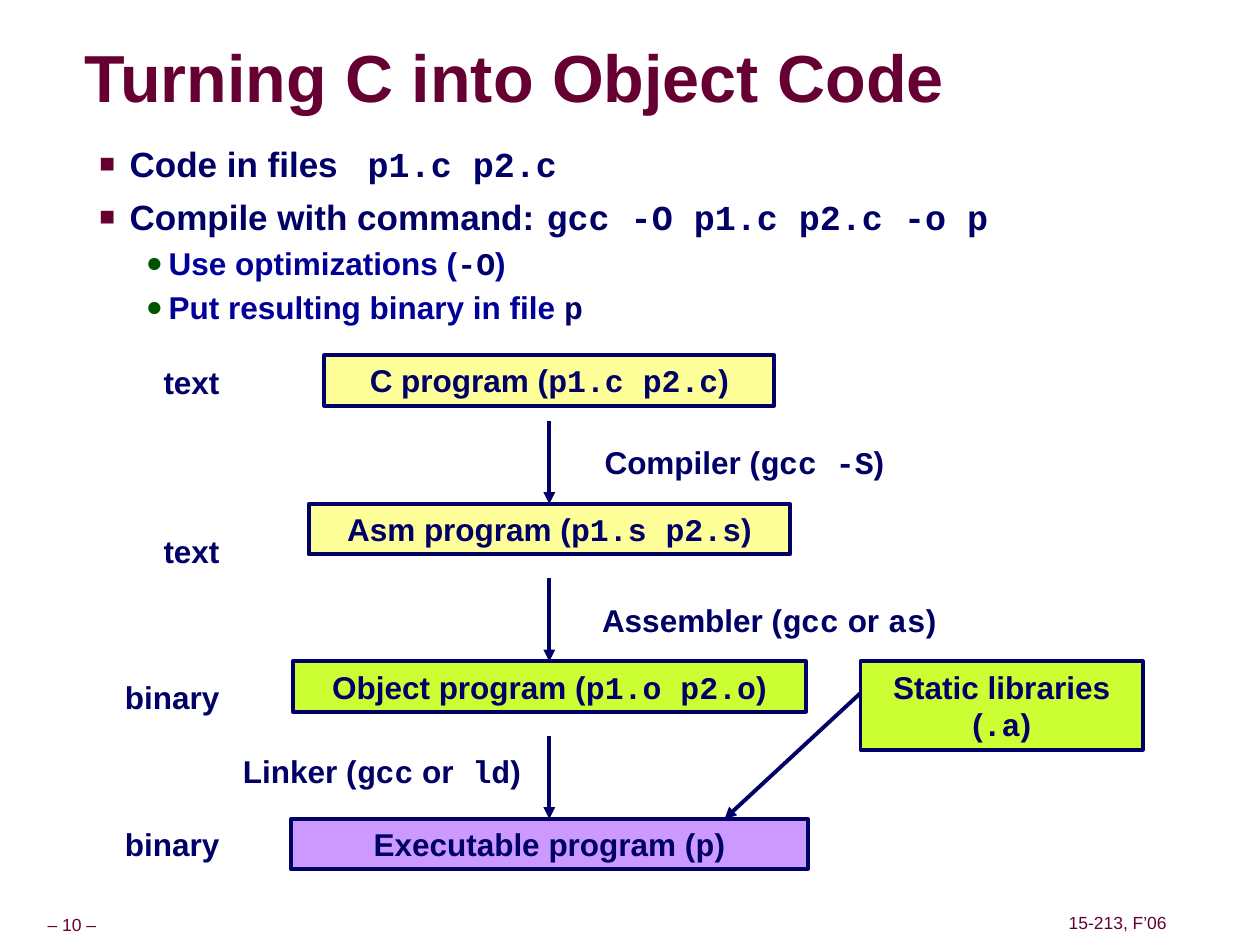
from dataclasses import dataclass
from lxml.etree import SubElement
from pptx import Presentation
from pptx.dml.color import RGBColor
from pptx.enum.shapes import MSO_CONNECTOR, MSO_SHAPE
from pptx.enum.text import MSO_ANCHOR, MSO_AUTO_SIZE, PP_ALIGN
from pptx.oxml import parse_xml
from pptx.oxml.ns import nsdecls, qn
from pptx.util import Inches, Pt


@dataclass(frozen=True)
class Theme:
    sans: str = "Arial"
    mono: str = "Courier New"
    ink: str = "000066"
    sub: str = "000099"
    wine: str = "660033"
    green: str = "005400"
    shade: str = "969696"
    source: str = "FFFF99"
    binary: str = "CCFF33"
    final: str = "CC99FF"
    head: int = 38
    lead: int = 20
    text: int = 18
    foot: int = 10
    line: float = 2.25


@dataclass(frozen=True)
class Box:
    left: float
    top: float
    width: float
    height: float

    def inner(self, left, top, width, height):
        return Box(self.left + left, self.top + top, width, height)

    def spot(self, left, top):
        return Inches(self.left + left), Inches(self.top + top)

    def area(self):
        return [Inches(n) for n in (self.left, self.top, self.width, self.height)]


THEME = Theme()


def color(code):
    return RGBColor.from_string(code)


def write(para, text, size, tint=THEME.ink, code=None, bold=True):
    font = para.font
    font.name, font.size, font.bold = THEME.sans, Pt(size), bold
    font.color.rgb = color(tint)
    for spot, piece in enumerate(text.split("`")):
        if not piece:
            continue
        run = para.add_run()
        run.text = piece
        if spot % 2:
            run.font.name = THEME.mono
            if code:
                run.font.color.rgb = color(code)


def label(slide, box, text, align=PP_ALIGN.LEFT):
    shape = slide.shapes.add_textbox(*box.area())
    shape.text_frame.word_wrap = True
    para = shape.text_frame.paragraphs[0]
    para.alignment = align
    write(para, text, THEME.text)


def block(slide, box, text, fill):
    shape = slide.shapes.add_shape(MSO_SHAPE.RECTANGLE, *box.area())
    shape.shadow.inherit = False
    shape.fill.solid()
    shape.fill.fore_color.rgb = color(fill)
    shape.line.color.rgb = color(THEME.ink)
    shape.line.width = Pt(THEME.line)
    frame = shape.text_frame
    frame.word_wrap = True
    frame.vertical_anchor = MSO_ANCHOR.TOP
    para = frame.paragraphs[0]
    para.alignment = PP_ALIGN.CENTER
    write(para, text, THEME.text)
    return shape


def arrow(slide, start, end):
    link = slide.shapes.add_connector(MSO_CONNECTOR.STRAIGHT, *start, *end)
    link.line.color.rgb = color(THEME.ink)
    link.line.width = Pt(THEME.line)
    props = link._element.spPr
    SubElement(props.find(qn("a:ln")), qn("a:tailEnd"), type="triangle")
    SubElement(props, qn("a:effectLst"))
    return link


def title(slide, box, text):
    shape = slide.shapes.title
    shape.left, shape.top, shape.width, shape.height = box.area()
    frame = shape.text_frame
    frame.margin_left = frame.margin_right = 0
    frame.margin_top = frame.margin_bottom = 0
    frame.vertical_anchor = MSO_ANCHOR.MIDDLE
    frame.auto_size = MSO_AUTO_SIZE.NONE
    para = frame.paragraphs[0]
    para.alignment = PP_ALIGN.LEFT
    para.line_spacing = 0.87
    write(para, text, THEME.head, THEME.wine)
    props = para.runs[0]._r.get_or_add_rPr()
    props.append(parse_xml(
        f'<a:effectLst {nsdecls("a")}><a:outerShdw dist="38100" dir="2700000">'
        f'<a:srgbClr val="{THEME.shade}"/></a:outerShdw></a:effectLst>'))


def bullet(para, mark, tint, size, left, hang):
    props = para._p.get_or_add_pPr()
    props.set("marL", str(Inches(left)))
    props.set("indent", str(Inches(-hang)))
    tabs = "".join(f'<a:tab pos="{Inches(n)}" algn="l"/>' for n in (2.5, 3.88, 3.92))
    space = nsdecls("a")
    last = props.find(qn("a:defRPr"))
    for piece in (
        f'<a:buClr {space}><a:srgbClr val="{tint}"/></a:buClr>',
        f'<a:buSzPct {space} val="{size * 1000}"/>',
        f'<a:buFont {space} typeface="{THEME.sans}"/>',
        f'<a:buChar {space} char="{mark}"/>',
        f'<a:tabLst {space}>{tabs}</a:tabLst>',
    ):
        last.addprevious(parse_xml(piece))


def points(slide, box, items):
    frame = slide.shapes.add_textbox(*box.area()).text_frame
    frame.word_wrap = True
    for spot, (level, text) in enumerate(items):
        para = frame.add_paragraph() if spot else frame.paragraphs[0]
        para.level = level
        if level == 1:
            para.space_before = Pt(6.2)
            write(para, text, THEME.lead)
            bullet(para, "■", THEME.wine, 75, 0.61, 0.24)
        else:
            para.space_before = Pt(2.2)
            para.line_spacing = 1.07
            write(para, text, THEME.text, THEME.sub, THEME.ink)
            bullet(para, "●", THEME.green, 90, 0.92, 0.18)


def flow(slide, box):
    axis, high = 3.61, 0.4
    stages = (
        (0, 3.57, "C program (`p1.c p2.c`)", THEME.source),
        (1.18, 3.82, "Asm program (`p1.s p2.s`)", THEME.source),
        (2.43, 4.07, "Object program (`p1.o p2.o`)", THEME.binary),
        (3.68, 4.1, "Executable program (`p`)", THEME.final),
    )
    for row, (top, wide, text, fill) in enumerate(stages):
        shape = block(slide, box.inner(axis - wide / 2, top, wide, high), text, fill)
        if row:
            link = arrow(slide, box.spot(axis, top - 0.66), box.spot(axis, top))
            link.end_connect(shape, 0)
    for top, text in ((0.01, "text"), (1.35, "text"), (2.51, "binary"), (3.68, "binary")):
        label(slide, box.inner(0, top, 1.09, high), text, PP_ALIGN.RIGHT)
    for left, top, wide, text in (
        (3.95, 0.65, 2.74, "Compiler (`gcc -S`)"),
        (3.93, 1.9, 3.33, "Assembler (`gcc` or `as`)"),
        (1.08, 3.1, 2.89, "Linker (`gcc` or` ld`)"),
    ):
        label(slide, box.inner(left, top, wide, high), text)
    block(slide, box.inner(6.08, 2.43, 2.24, 0.7), "Static libraries (`.a`)", THEME.binary)
    arrow(slide, box.spot(6.08, 2.68), box.spot(5, 3.68))


def footer(slide, box, text):
    frame = slide.shapes.add_textbox(*box.area()).text_frame
    frame.word_wrap = False
    frame.margin_left = frame.margin_right = Inches(0.05)
    frame.vertical_anchor = MSO_ANCHOR.MIDDLE
    para = frame.paragraphs[0]
    para.alignment = PP_ALIGN.CENTER
    para.line_spacing = 0.9
    write(para, text, THEME.foot, THEME.wine, bold=False)


def main():
    deck = Presentation()
    deck.slide_width, deck.slide_height = Inches(10), Inches(7.5)
    slide = deck.slides.add_slide(deck.slide_layouts[5])
    title(slide, Box(0.67, 0.33, 7.65, 0.63), "Turning C into Object Code")
    points(slide, Box(0.32, 1.08, 9.09, 1.6), (
        (1, "Code in files \t`p1.c p2.c`"),
        (1, "Compile with command: \t`gcc -O p1.c p2.c -o p`"),
        (2, "Use optimizations (`-O`)"),
        (2, "Put resulting binary in file `p`"),
    ))
    flow(slide, Box(0.75, 2.82, 8.32, 4.08))
    footer(slide, Box(0.09, 7.22, 0.96, 0.25), "– 10 –")
    footer(slide, Box(8.43, 7.21, 0.88, 0.25), "15-213, F’06")
    deck.save("out.pptx")


if __name__ == "__main__":
    main()
